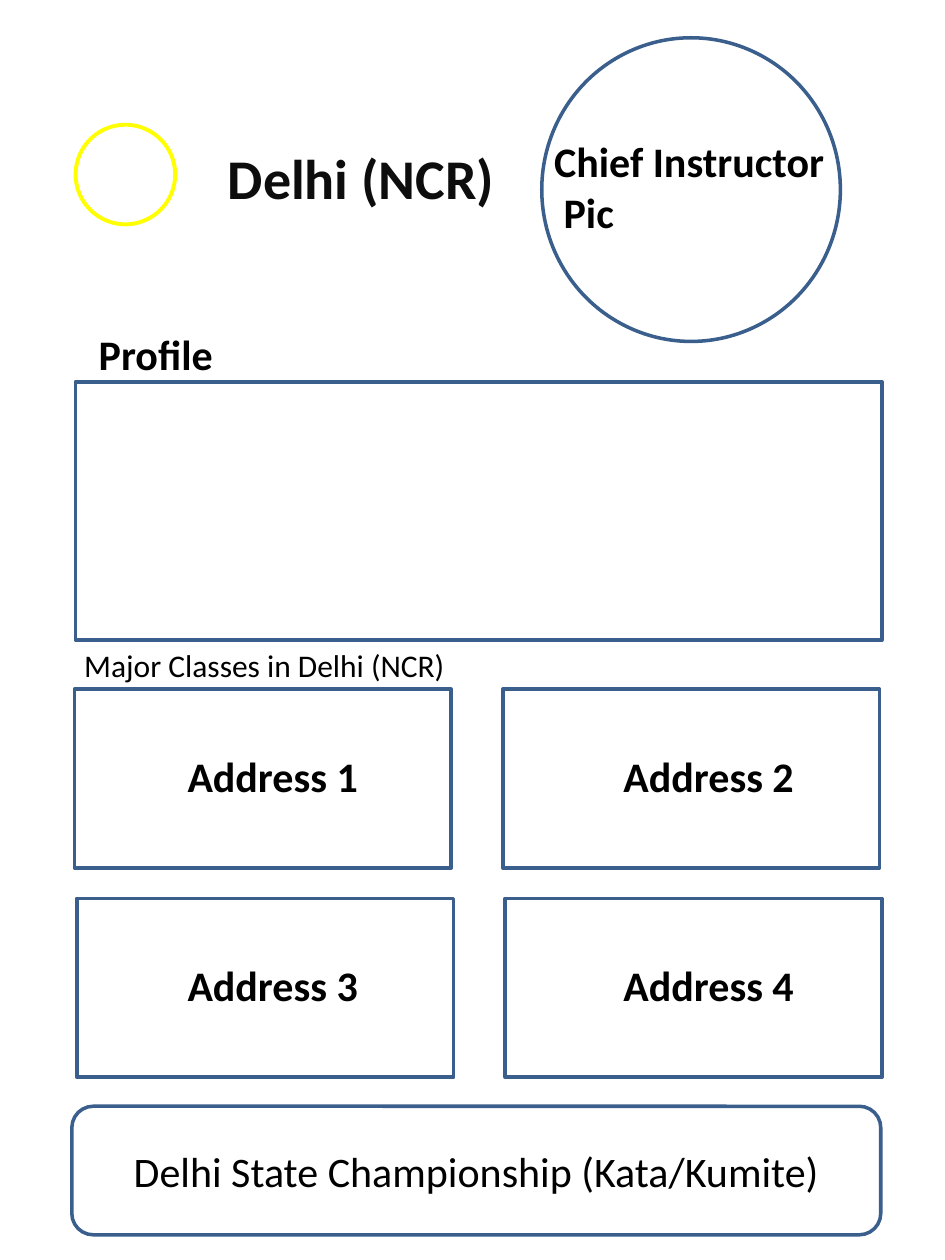
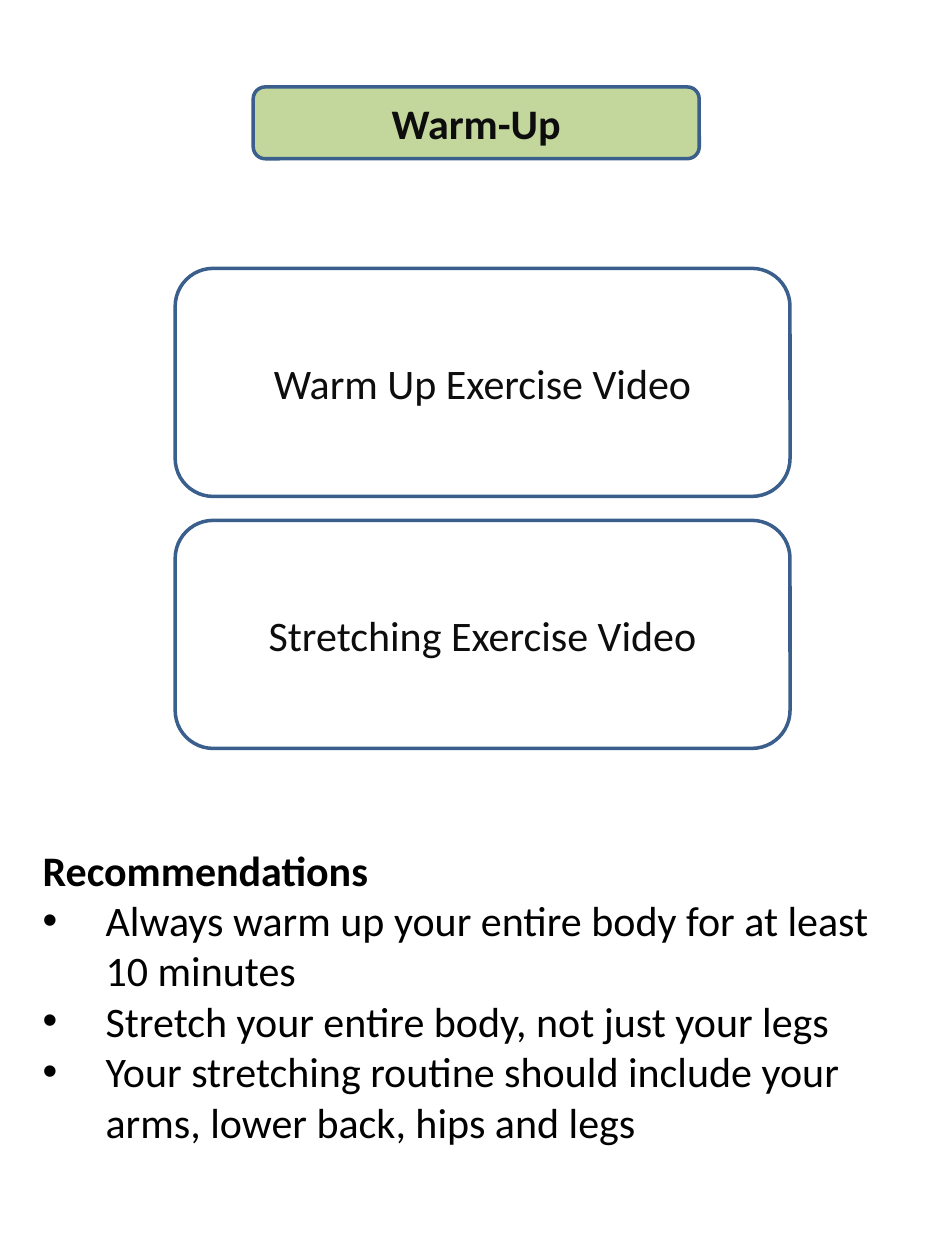
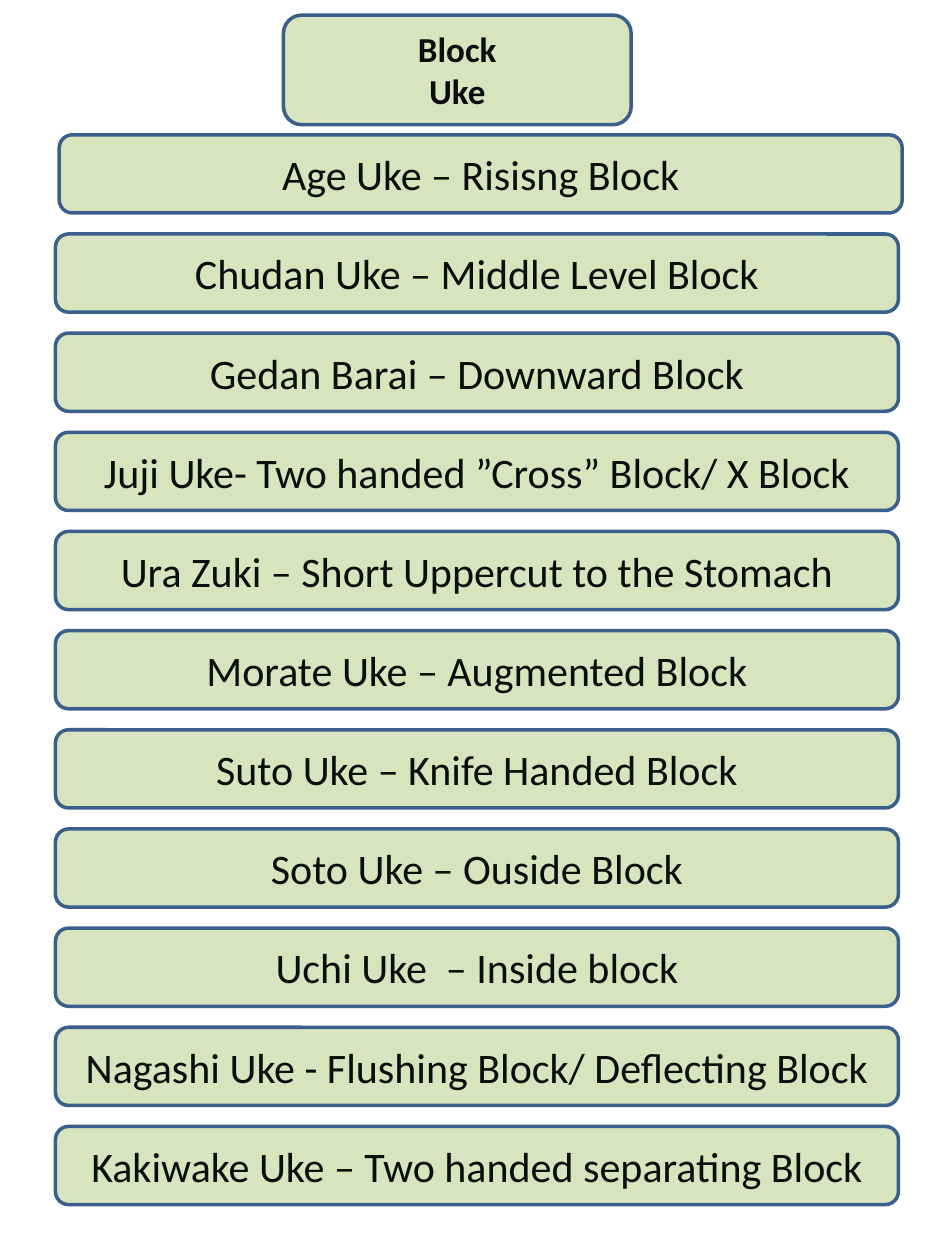
import pptx
import pptx.dml.color
import pptx.enum.shapes
import pptx.enum.text
import pptx.oxml.ns
import pptx.util
from lxml import etree

COLS, ROWS = 75, 100
WIDTH, HEIGHT = pptx.util.Inches(7.5), pptx.util.Inches(10)
FONT = "Calibri"
OUTLINE, YELLOW = "3A5F8C", "FFFF00"
TITLE_GREEN, BLOCK_GREEN = "C3D69B", "D7E4BD"
BLACK, INK = "000000", "0D0D0D"
SHAPE = pptx.enum.shapes.MSO_SHAPE
ALIGN = pptx.enum.text.PP_ALIGN
ANCHOR = pptx.enum.text.MSO_ANCHOR
AUTOSIZE = pptx.enum.text.MSO_AUTO_SIZE

ADDRESSES = [["Address 1", "Address 2"], ["Address 3", "Address 4"]]
VIDEOS = ["Warm Up Exercise Video", "Stretching Exercise Video"]
RECOMMENDATIONS = [
    "Always warm up your entire body for at least 10 minutes",
    "Stretch your entire body, not just your legs",
    "Your stretching routine should include your arms, lower back, hips and legs",
]
BLOCKS = [
    "Age Uke – Risisng Block",
    "Chudan Uke – Middle Level Block",
    "Gedan Barai – Downward Block",
    "Juji Uke- Two handed ”Cross” Block/ X Block",
    "Ura Zuki – Short Uppercut to the Stomach",
    "Morate Uke – Augmented Block",
    "Suto Uke – Knife Handed Block",
    "Soto Uke – Ouside Block",
    "Uchi Uke  – Inside block",
    "Nagashi Uke - Flushing Block/ Deflecting Block",
    "Kakiwake Uke – Two handed separating Block",
]


def rgb(value):
    """Turn a hex string into a colour."""
    return pptx.dml.color.RGBColor.from_string(value)


def apply(target, formats):
    """Set each attribute of the target from a dict of format values."""
    for name, value in formats.items():
        setattr(target, name, value)


def place(col, row, cols, rows):
    """Convert a grid cell range to left, top, width and height."""
    x, y = WIDTH / COLS, HEIGHT / ROWS
    return [round(v) for v in (col * x, row * y, cols * x, rows * y)]


def write(p, text, size=24, bold=False, color=BLACK):
    """Add one formatted run to a paragraph."""
    r = p.add_run()
    r.text = text
    apply(r.font, {"name": FONT, "size": pptx.util.Pt(size), "bold": bold})
    r.font.color.rgb = rgb(color)


def fill_lines(tf, lines, align, **style):
    """Write each line as its own paragraph."""
    for i, line in enumerate(lines):
        p = tf.add_paragraph() if i else tf.paragraphs[0]
        p.alignment = align
        write(p, line, **style)


def add_box(s, kind, area, lines=(), fill=None, line=OUTLINE, weight=2, **style):
    """Add an outlined shape with optional fill and centred text."""
    sp = s.shapes.add_shape(kind, *place(*area))
    sp.shadow.inherit = False
    if fill:
        sp.fill.solid()
        sp.fill.fore_color.rgb = rgb(fill)
    else:
        sp.fill.background()
    sp.line.color.rgb = rgb(line)
    sp.line.width = pptx.util.Pt(weight)
    apply(sp.text_frame, {"word_wrap": True, "vertical_anchor": ANCHOR.MIDDLE})
    fill_lines(sp.text_frame, lines, ALIGN.CENTER, **style)


def add_label(s, area, lines, wrap=False, **style):
    """Add a text box that grows with its text."""
    tf = s.shapes.add_textbox(*place(*area)).text_frame
    apply(tf, {"word_wrap": wrap, "auto_size": AUTOSIZE.SHAPE_TO_FIT_TEXT})
    fill_lines(tf, lines, ALIGN.LEFT, **style)
    return tf


def add_bullet(tf, text):
    """Append a bulleted paragraph with a hanging indent."""
    p = tf.add_paragraph()
    write(p, text)
    pPr = p._p.get_or_add_pPr()
    indent = pptx.util.Inches(0.5)
    pPr.set("marL", str(indent))
    pPr.set("indent", str(-indent))
    for tag, key, value in (("a:buFont", "typeface", "Arial"), ("a:buChar", "char", "•")):
        etree.SubElement(pPr, pptx.oxml.ns.qn(tag)).set(key, value)


def add_slide(prs):
    """Add a slide on the blank layout."""
    return prs.slides.add_slide(prs.slide_layouts[6])


def build_profile(prs):
    """Build the regional profile page."""
    s = add_slide(prs)
    for row, names in enumerate(ADDRESSES):
        for col, name in enumerate(names):
            add_box(s, SHAPE.RECTANGLE,
                    (5.9 + 34 * col + 0.2 * row, 54.7 + 16.6 * row, 29.9, 14.2))
            add_label(s, (13.9 + 34.6 * col, 59.1 + 16.6 * row, 15.7, 5), [name], bold=True)
    add_label(s, (43, 10.3, 23.7, 9.1), ["Chief Instructor", " Pic"], bold=True)
    add_box(s, SHAPE.RECTANGLE, (6, 30.3, 64, 20.5))
    add_label(s, (6.1, 25.6, 13.3, 5), [" Profile"], wrap=True, bold=True)
    add_box(s, SHAPE.OVAL, (43, 3, 23.7, 24.1))
    add_box(s, SHAPE.OVAL, (6, 9.9, 7.9, 7.9), line=YELLOW, weight=2.25)
    add_label(s, (17.1, 10.9, 23.4, 6.4), ["Delhi (NCR)"], size=32, bold=True, color=INK)
    add_label(s, (5.7, 50.8, 31, 4), ["Major Classes in Delhi (NCR)"], size=18)
    add_box(s, SHAPE.ROUNDED_RECTANGLE, (5.7, 87.8, 64.2, 10.2),
            ["Delhi State Championship (Kata/Kumite)"])


def build_warm_up(prs):
    """Build the warm-up page."""
    s = add_slide(prs)
    tf = add_label(s, (2.4, 66.5, 70.9, 25.2), ["Recommendations"], wrap=True, bold=True)
    for text in RECOMMENDATIONS:
        add_bullet(tf, text)
    for i, video in enumerate(VIDEOS):
        add_box(s, SHAPE.ROUNDED_RECTANGLE, (13.9, 21.3 + 20 * i, 48.8, 18.1), [video], color=INK)
    add_box(s, SHAPE.ROUNDED_RECTANGLE, (20.1, 6.9, 35.4, 5.7), ["Warm-Up"],
            fill=TITLE_GREEN, bold=True, color=INK)


def build_blocks(prs):
    """Build the list of blocking techniques."""
    s = add_slide(prs)
    add_box(s, SHAPE.ROUNDED_RECTANGLE, (22.5, 1.2, 27.6, 8.7), ["Block", "Uke"],
            fill=BLOCK_GREEN, size=20, bold=True, color=INK)
    for i, block in enumerate(BLOCKS):
        left = 4.4 if i else 4.7
        add_box(s, SHAPE.ROUNDED_RECTANGLE, (left, 10.7 + 7.87 * i, 66.9, 6.2), [block],
                fill=BLOCK_GREEN, color=INK)


def main():
    """Build and save the presentation."""
    prs = pptx.Presentation()
    apply(prs, {"slide_width": WIDTH, "slide_height": HEIGHT})
    build_profile(prs)
    build_warm_up(prs)
    build_blocks(prs)
    prs.save("out.pptx")


if __name__ == "__main__":
    main()
